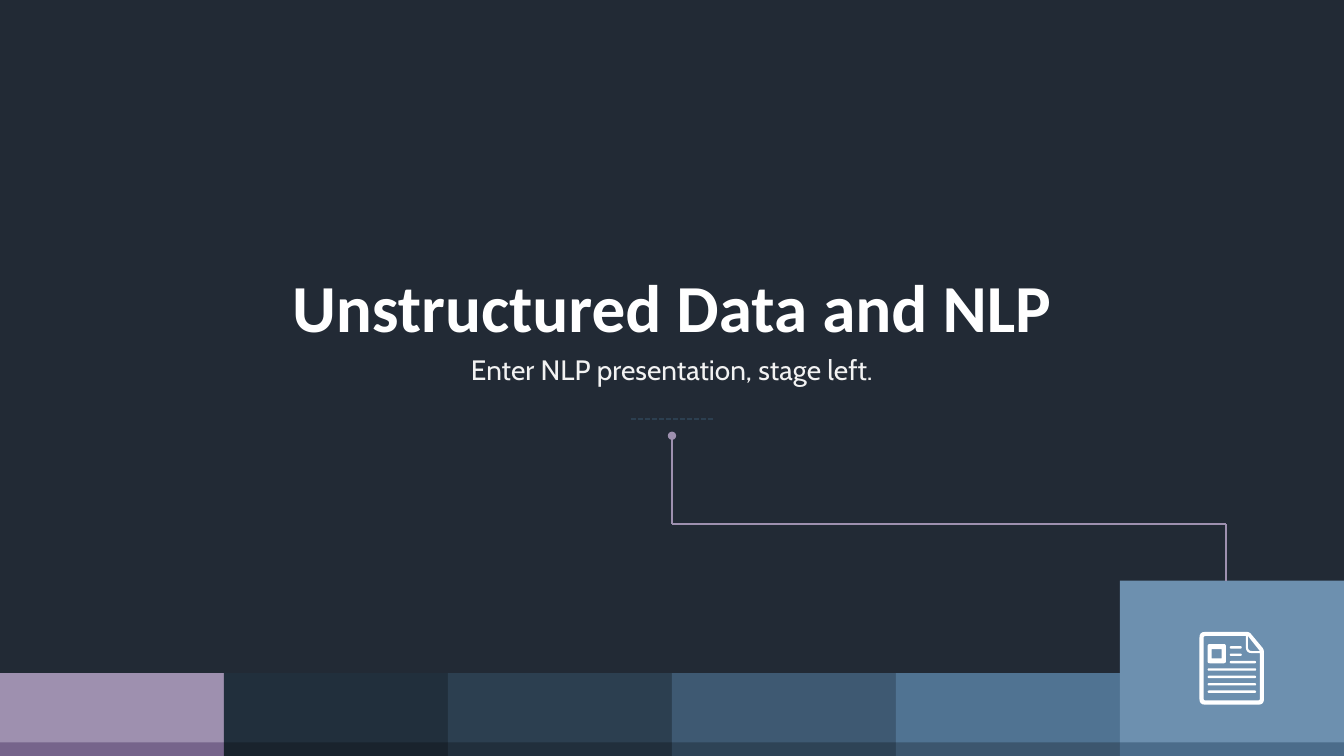
from pptx import Presentation
from pptx.dml.color import RGBColor
from pptx.enum.dml import MSO_LINE
from pptx.enum.shapes import MSO_CONNECTOR, MSO_SHAPE
from pptx.enum.text import MSO_ANCHOR, MSO_AUTO_SIZE, PP_ALIGN
from pptx.oxml.ns import qn
from pptx.util import Pt
from lxml.etree import SubElement

HUES = {
    "back": "222A35", "white": "FFFFFF", "pale": "F2F2F2",
    "mauve": "9E90AF", "plum": "76648B", "ink": "19232D",
    "night": "212F3C", "navy": "2C3F50", "deep": "2E4356",
    "slate": "3E5972", "steel": "3C566E", "blue": "507392",
    "dusk": "4B6C8A", "sky": "6D90AF",
}


def hue(name):
    return RGBColor.from_string(HUES[name])


def curve(track):
    dots = []
    for i, (x, y, r) in enumerate(track):
        ends = []
        for nx, ny, _ in (track[i - 1], track[(i + 1) % len(track)]):
            far = ((nx - x) ** 2 + (ny - y) ** 2) ** 0.5
            ends.append((x + (nx - x) * r / far, y + (ny - y) * r / far))
        (ax, ay), (bx, by) = ends
        for t in (0, 0.25, 0.5, 0.75, 1) if r else (0,):
            u = 1 - t
            dots.append((Pt(u * u * ax + 2 * u * t * x + t * t * bx),
                         Pt(u * u * ay + 2 * u * t * y + t * t * by)))
    return dots


def frame(x, y, w, h, r=0):
    return [(x, y, r), (x + w, y, r), (x + w, y + h, r), (x, y + h, r)]


class Deck:
    def __init__(self):
        self.show = Presentation()
        self.show.slide_width, self.show.slide_height = Pt(960), Pt(540)
        self.slide = self.show.slides.add_slide(self.show.slide_layouts[5])
        self.shapes = self.slide.shapes
        fill = self.slide.background.fill
        fill.solid()
        fill.fore_color.rgb = hue("back")

    def paint(self, shape, color):
        shape.shadow.inherit = False
        shape.fill.solid()
        shape.fill.fore_color.rgb = hue(color)
        shape.line.fill.background()

    def block(self, x, y, w, h, color, kind=MSO_SHAPE.RECTANGLE):
        shape = self.shapes.add_shape(kind, Pt(x), Pt(y), Pt(w), Pt(h))
        self.paint(shape, color)
        return shape

    def pill(self, x, y, w, h, color):
        shape = self.block(x, y, w, h, color, MSO_SHAPE.ROUNDED_RECTANGLE)
        shape.adjustments[0] = 0.5

    def outline(self, tracks, color):
        first, *rest = [curve(track) for track in tracks]
        pen = self.shapes.build_freeform(*first[0], scale=1)
        pen.add_line_segments(first[1:], close=True)
        for dots in rest:
            pen.move_to(*dots[0])
            pen.add_line_segments(dots[1:], close=True)
        self.paint(pen.convert_to_shape(), color)

    def line(self, x1, y1, x2, y2, color, dash=None, head=None):
        link = self.shapes.add_connector(
            MSO_CONNECTOR.STRAIGHT, Pt(x1), Pt(y1), Pt(x2), Pt(y2))
        link.line.width = Pt(1.25)
        link.line.color.rgb = hue(color)
        if dash:
            link.line.dash_style = dash
        props = link._element.spPr
        if head:
            SubElement(props.find(qn("a:ln")), qn("a:headEnd"), type=head)
        SubElement(props, qn("a:effectLst"))

    def label(self, shape, box, words, font, size, color, bold=False, wrap=True):
        shape.left, shape.top, shape.width, shape.height = map(Pt, box)
        body = shape.text_frame
        body.word_wrap = wrap
        body.auto_size = MSO_AUTO_SIZE.NONE
        body.vertical_anchor = MSO_ANCHOR.TOP
        para = body.paragraphs[0]
        para.alignment = PP_ALIGN.CENTER
        run = para.add_run()
        run.text = words
        run.font.name, run.font.size, run.font.bold = font, Pt(size), bold
        run.font.color.rgb = hue(color)

    def title(self, box, words, *style):
        self.label(self.shapes.title, box, words, *style, bold=True, wrap=False)

    def text(self, box, words, *style):
        self.label(self.shapes.add_textbox(*map(Pt, box)), box, words, *style)


def main():
    deck = Deck()
    tiles = ["mauve", "night", "navy", "slate", "blue", "sky"]
    bars = ["plum", "ink", "night", "deep", "steel", "dusk"]
    wide = 960 / len(tiles)
    for i, color in enumerate(tiles):
        top = 414.75 if color == "sky" else 480.75
        deck.block(i * wide, top, wide, 540 - top, color)
    for i, color in enumerate(bars):
        deck.block(i * wide, 530.25, wide, 9.75, color)

    mid, bend, side = 480, 374.4, 875.5
    deck.line(side, bend, mid, bend, "mauve")
    deck.line(side, bend, side, 414.75, "mauve")
    deck.title((198.5, 185.75, 563, 65.5), "Unstructured Data and NLP",
               "Calibri", 48, "white")
    deck.line(mid - 29.25, 299.25, mid + 29.25, 299.25, "navy", MSO_LINE.SQUARE_DOT)
    deck.line(mid, 311.25, mid, bend, "mauve", head="oval")

    page = [(856.8, 451.4, 4), (892.4, 451.4, 2), (902.9, 464, 2),
            (902.9, 503.4, 4), (856.8, 503.4, 4)]
    inner = [(859.7, 454.3, 1.5), (889.9, 454.3, 0), (889.9, 466.6, 4.5),
             (900, 466.6, 0), (900, 500.4, 1.5), (859.7, 500.4, 1.5)]
    fold = [(891.4, 454.3, 0), (891.4, 465.1, 3), (900, 465.1, 0)]
    deck.outline([page, inner, fold], "white")
    deck.outline([frame(862.6, 460.1, 13, 13.7, 1.4),
                  frame(865.4, 463.7, 7.2, 6.5)], "white")
    right = 897.2
    rows = [(878.4, 8.6)] * 2 + [(878.4, right - 878.4)] + [(862.6, right - 862.6)] * 4
    for i, (x, w) in enumerate(rows):
        deck.pill(x, 461.6 + 5.27 * i, w, 1.7, "white")

    deck.text((167.5, 248.4, 625, 31.5), "Enter NLP presentation, stage left.",
              "Cabin", 20, "pale")
    deck.show.save("out.pptx")


if __name__ == "__main__":
    main()
